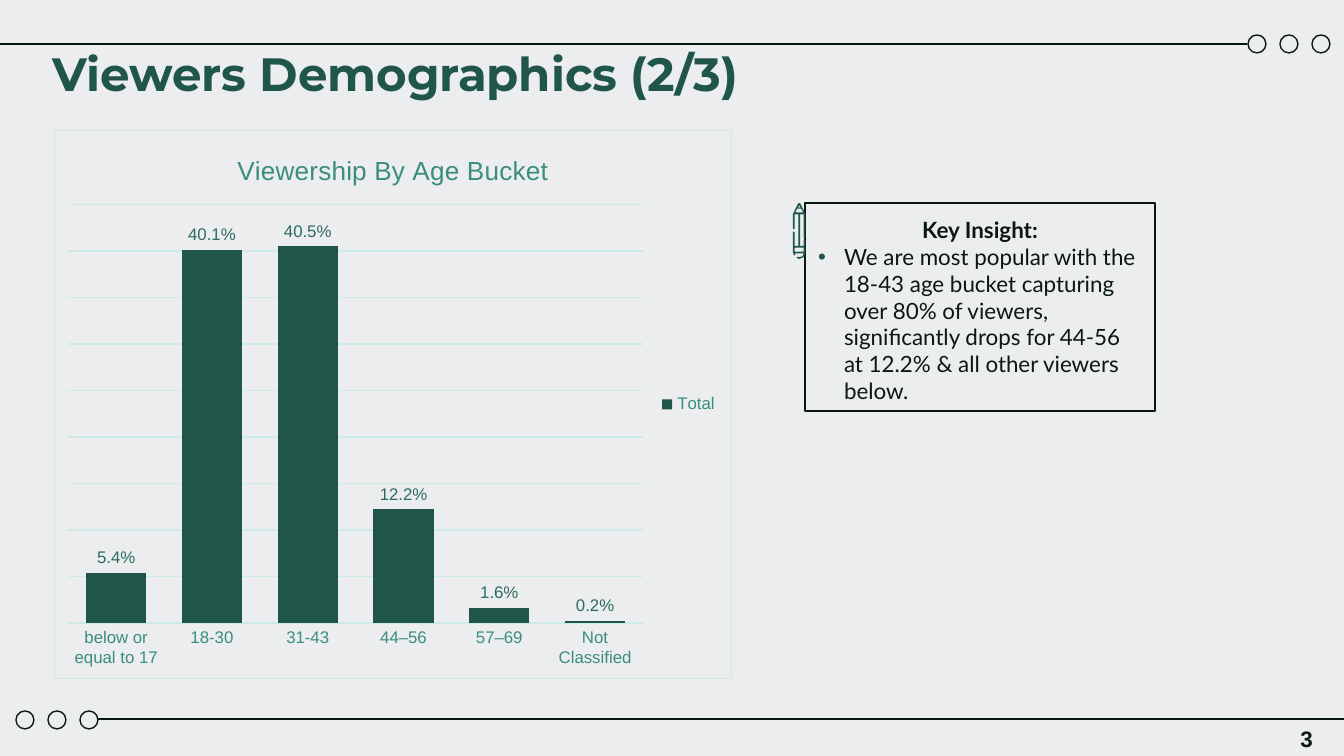
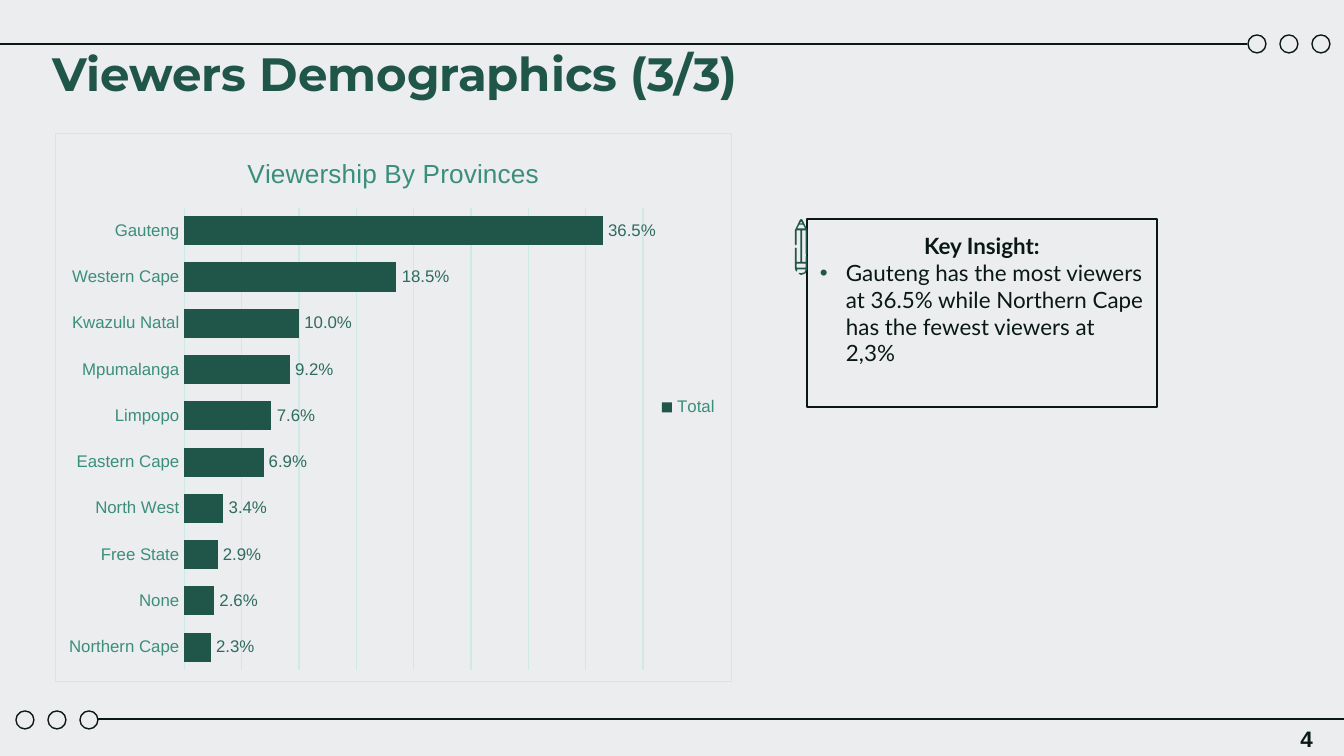
from pptx import Presentation
from pptx.chart.data import CategoryChartData
from pptx.dml.color import RGBColor
from pptx.enum.chart import XL_CHART_TYPE as CT, XL_LABEL_POSITION as LP
from pptx.enum.chart import XL_LEGEND_POSITION as LEG, XL_TICK_MARK as TM
from pptx.enum.shapes import MSO_CONNECTOR, MSO_SHAPE
from pptx.enum.text import MSO_ANCHOR, PP_ALIGN
from pptx.oxml import parse_xml
from pptx.oxml.ns import nsdecls, qn
from pptx.util import Emu, Pt

PX = 914400 / 134.4
INK = RGBColor(0x0A, 0x18, 0x15)
PINE = RGBColor(0x20, 0x55, 0x49)
MOSS = RGBColor(0x2D, 0x6C, 0x5E)
JADE = RGBColor(0x3B, 0x8E, 0x7C)
MINT = RGBColor(0xCD, 0xEA, 0xE4)
PAPER = RGBColor(0xEB, 0xED, 0xEE)

PENCIL = [
    [(62, 0), (50, 8), (8, 95), (0, 110), (0, 255), (9, 265), (18, 255),
     (18, 115), (54, 115), (54, 430), (18, 430), (18, 295), (9, 285),
     (0, 295), (0, 495), (10, 525), (22, 525), (22, 505), (108, 505),
     (95, 535), (62, 542), (40, 540), (38, 550), (62, 560), (105, 545),
     (125, 500), (125, 375), (116, 365), (107, 375), (107, 430), (71, 430),
     (71, 115), (107, 115), (107, 350), (116, 360), (125, 350), (125, 110),
     (117, 95), (75, 8)],
    [(62, 25), (77, 45), (47, 45)],
    [(82, 58), (103, 95), (22, 95), (43, 58)],
    [(107, 447), (107, 488), (18, 488), (18, 447)],
]

SLIDES = [
    dict(title="Viewers Demographics (2/3)", number="3",
         kind=CT.COLUMN_CLUSTERED, frame=(54, 130, 678, 549), top=0.45,
         heading="Viewership By Age Bucket",
         data={"below or equal to 17": 0.054, "18-30": 0.401, "31-43": 0.405,
               "44–56": 0.122, "57–69": 0.016, "Not Classified": 0.002},
         box=(805, 203, 350, 208),
         insight="We are most popular with the 18-43 age bucket capturing over "
                 "80% of viewers, significantly drops for 44-56 at 12.2% & all "
                 "other viewers below."),
    dict(title="Viewers Demographics (3/3)", number="4",
         kind=CT.BAR_CLUSTERED, frame=(55, 133, 677, 549), top=0.4,
         heading="Viewership By Provinces",
         data={"Northern Cape": 0.023, "None": 0.026, "Free State": 0.029,
               "North West": 0.034, "Eastern Cape": 0.069, "Limpopo": 0.076,
               "Mpumalanga": 0.092, "Kwazulu Natal": 0.1,
               "Western Cape": 0.185, "Gauteng": 0.365},
         box=(807, 219, 350, 188),
         insight="Gauteng has the most viewers at 36.5% while Northern Cape "
                 "has the fewest viewers at 2,3%"),
]


def px(*values):
    return [Emu(round(v * PX)) for v in values]


def write(p, text, size=12, font="Lato", color=INK, bold=False,
          align=PP_ALIGN.LEFT):
    p.alignment = align
    r = p.add_run()
    r.text = text
    r.font.size = Pt(size)
    r.font.name = font
    r.font.bold = bold
    r.font.color.rgb = color


prs = Presentation()
prs.slide_width, prs.slide_height = px(1344, 756)

for page in SLIDES:
    s = prs.slides.add_slide(prs.slide_layouts[6])
    s.background.fill.solid()
    s.background.fill.fore_color.rgb = PAPER

    for left, top in ((16, 711), (1248, 35)):
        for i in range(3):
            sp = s.shapes.add_shape(MSO_SHAPE.OVAL, *px(left + 32 * i, top, 18, 18))
            sp.shadow.inherit = False
            sp.fill.background()
            sp.line.color.rgb = INK
            sp.line.width = Pt(0.75)
    for x1, x2, y in ((1247, 0, 44), (97, 1344, 719)):
        line = s.shapes.add_connector(MSO_CONNECTOR.STRAIGHT, *px(x1, y, x2, y))
        line.line.color.rgb = INK
        line.line.width = Pt(0.75)
        line._element.spPr.append(parse_xml(f"<a:effectLst {nsdecls('a')}/>"))

    box_left, box_top = page["box"][:2]
    sp = s.shapes.add_shape(MSO_SHAPE.RECTANGLE, *px(*page["box"]))
    sp.shadow.inherit = False
    sp.fill.background()
    sp.line.color.rgb = INK
    sp.line.width = Pt(0.75)
    tf = sp.text_frame
    tf.word_wrap = True
    tf.vertical_anchor = MSO_ANCHOR.TOP
    tf.margin_left, tf.margin_top, tf.margin_right, tf.margin_bottom = px(13, 13, 13, 13)
    write(tf.paragraphs[0], "Key Insight:", bold=True, align=PP_ALIGN.CENTER)
    p = tf.add_paragraph()
    pPr = p._p.get_or_add_pPr()
    indent = px(26)[0]
    pPr.set("marL", str(indent))
    pPr.set("indent", str(-indent))
    for xml in (f'<a:buClr {nsdecls("a")}><a:srgbClr val="{PINE}"/></a:buClr>',
                f'<a:buFont {nsdecls("a")} typeface="Arial"/>',
                f'<a:buChar {nsdecls("a")} char="•"/>'):
        pPr.append(parse_xml(xml))
    write(p, page["insight"])

    sp = s.shapes.add_textbox(*px(39, 54, 738, 60))
    tf = sp.text_frame
    tf.word_wrap = True
    tf.vertical_anchor = MSO_ANCHOR.BOTTOM
    tf.margin_left, tf.margin_top, tf.margin_right, tf.margin_bottom = px(13, 13, 13, 13)
    write(tf.paragraphs[0], page["title"], size=25, font="Montserrat",
          color=PINE, bold=True)

    pencil = s.shapes.build_freeform(*PENCIL[0][0], scale=PX / 10)
    for i, outline in enumerate(PENCIL):
        if i:
            pencil.move_to(*outline[0])
        pencil.add_line_segments(outline[1:], close=True)
    sp = pencil.convert_to_shape(*px(box_left - 12, box_top))
    sp.shadow.inherit = False
    sp.fill.solid()
    sp.fill.fore_color.rgb = PINE
    sp.line.fill.background()

    data = CategoryChartData(number_format="0.0%")
    data.categories = list(page["data"])
    data.add_series("Total", list(page["data"].values()))
    chart = s.shapes.add_chart(page["kind"], *px(*page["frame"]), data).chart
    chart.font.name = "Arial"
    chart.font.size = Pt(10)
    chart.font.color.rgb = INK
    chart.element.find(qn("c:chart")).addnext(parse_xml(
        f'<c:spPr {nsdecls("c", "a")}>'
        f'<a:solidFill><a:srgbClr val="{PAPER}"/></a:solidFill>'
        f'<a:ln w="9525"><a:solidFill><a:srgbClr val="{MINT}"/></a:solidFill></a:ln>'
        '</c:spPr>'))
    chart.has_title = True
    write(chart.chart_title.text_frame.paragraphs[0], page["heading"], size=14,
          font="Arial", color=JADE, align=PP_ALIGN.CENTER)
    chart.chart_title.include_in_layout = False
    chart.has_legend = True
    chart.legend.position = LEG.RIGHT
    chart.legend.include_in_layout = False

    plot = chart.plots[0]
    plot.gap_width = 59
    plot.vary_by_categories = False
    bars = plot.series[0]
    bars.invert_if_negative = False
    bars.format.fill.solid()
    bars.format.fill.fore_color.rgb = PINE
    plot.has_data_labels = True
    labels = plot.data_labels
    labels.show_value = True
    labels.position = LP.OUTSIDE_END
    labels.number_format = "0.0%"
    labels.number_format_is_linked = False

    cat, val = chart.category_axis, chart.value_axis
    cat.major_tick_mark = cat.minor_tick_mark = TM.NONE
    cat.format.line.color.rgb = MINT
    cat.format.line.width = Pt(0.75)
    cat.has_major_gridlines = False
    val.visible = False
    val.minimum_scale, val.maximum_scale, val.major_unit = 0, page["top"], 0.05
    val.has_major_gridlines = True
    val.major_gridlines.format.line.color.rgb = MINT
    val.major_gridlines.format.line.width = Pt(0.75)
    val.tick_labels.number_format = "0.0%"
    val.tick_labels.number_format_is_linked = False
    for font, color in ((cat.tick_labels.font, JADE), (chart.legend.font, JADE),
                        (labels.font, MOSS)):
        font.name = "Arial"
        font.size = Pt(9)
        font.color.rgb = color

    sp = s.shapes.add_textbox(*px(1024, 719, 302, 40))
    tf = sp.text_frame
    tf.word_wrap = True
    tf.vertical_anchor = MSO_ANCHOR.MIDDLE
    write(tf.paragraphs[0], page["number"], font="Arial", bold=True,
          align=PP_ALIGN.RIGHT)

prs.save("out.pptx")
